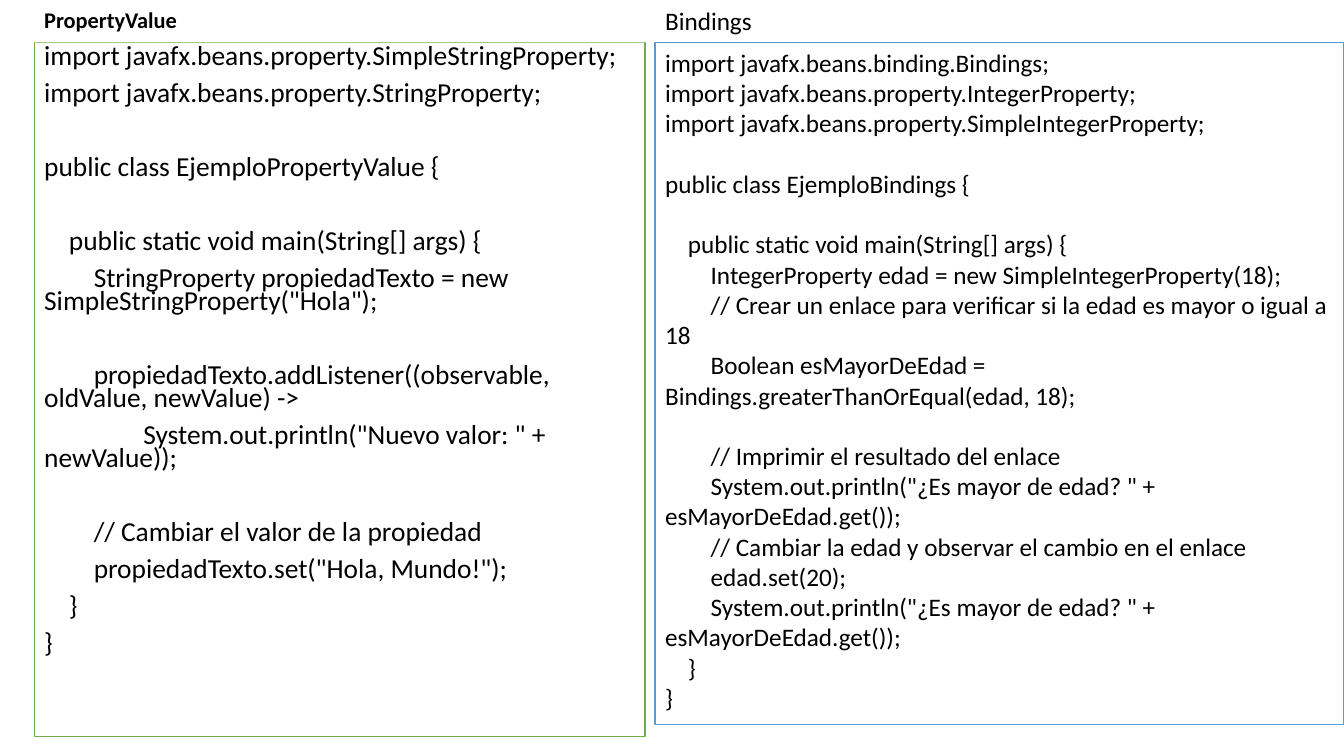
from pptx import Presentation
from pptx.dml.color import RGBColor
from pptx.enum.text import MSO_ANCHOR as Anchor
from pptx.util import Pt

COLORS = {"paper": "FFFFFF", "ink": "000000", "green": "70AD47", "blue": "5B9BD5"}
FONT = "Calibri"
SPACE_WIDTH = 0.226  # share of the font size
INDENT_SPACES = 4

# Blocks of code are set apart by a gap; each line is (indent level, text).
PROPERTY_CODE = [
    [(0, "import javafx.beans.property.SimpleStringProperty;"),
     (0, "import javafx.beans.property.StringProperty;")],
    [(0, "public class EjemploPropertyValue {")],
    [(1, "public static void main(String[] args) {"),
     (2, 'StringProperty propiedadTexto = new SimpleStringProperty("Hola");')],
    [(2, "propiedadTexto.addListener((observable, oldValue, newValue) ->"),
     (4, 'System.out.println("Nuevo valor: " + newValue));')],
    [(2, "// Cambiar el valor de la propiedad"),
     (2, 'propiedadTexto.set("Hola, Mundo!");'),
     (1, "}"),
     (0, "}")],
]
PRINT_AGE = (2, 'System.out.println("¿Es mayor de edad? " + esMayorDeEdad.get());')
BINDINGS_CODE = [
    [(0, "import javafx.beans.binding.Bindings;"),
     (0, "import javafx.beans.property.IntegerProperty;"),
     (0, "import javafx.beans.property.SimpleIntegerProperty;")],
    [(0, "public class EjemploBindings {")],
    [(1, "public static void main(String[] args) {"),
     (2, "IntegerProperty edad = new SimpleIntegerProperty(18);"),
     (2, "// Crear un enlace para verificar si la edad es mayor o igual a 18"),
     (2, "Boolean esMayorDeEdad = Bindings.greaterThanOrEqual(edad, 18);")],
    [(2, "// Imprimir el resultado del enlace"),
     PRINT_AGE,
     (2, "// Cambiar la edad y observar el cambio en el enlace"),
     (2, "edad.set(20);"),
     PRINT_AGE,
     (1, "}"),
     (0, "}")],
]

# box: left, top, width, height; gap: height of one empty line
PANELS = [
    dict(box=(24.5, 30.2, 436.3, 496.1), blocks=PROPERTY_CODE, size=19.6,
         line="green", spacing=0.7, before=10, gap=26.4),
    dict(box=(24.5, 0.7, 436.3, 29.5), blocks=[[(0, "PropertyValue")]], size=16,
         bold=True, spacing=0.9, anchor=Anchor.MIDDLE),
    dict(box=(468, 30.2, 492, 487.4), blocks=BINDINGS_CODE, size=18,
         line="blue", gap=21.6),
    dict(box=(468, 0, 492, 29), blocks=[[(0, "Bindings")]], size=18),
]


def rgb(name):
    return RGBColor.from_string(COLORS[name])


def add_panel(slide, box, blocks, size, line=None, bold=False, spacing=1.0,
              before=0, gap=0, anchor=Anchor.TOP):
    sp = slide.shapes.add_textbox(*map(Pt, box))
    sp.fill.solid()
    sp.fill.fore_color.rgb = rgb("paper")
    if line:
        sp.line.color.rgb = rgb(line)
        sp.line.width = Pt(1)
    tf = sp.text_frame
    tf.word_wrap = True
    tf.vertical_anchor = anchor
    step = Pt(size * SPACE_WIDTH * INDENT_SPACES)
    for b, block in enumerate(blocks):
        for i, (level, text) in enumerate(block):
            p = tf.paragraphs[0] if b == i == 0 else tf.add_paragraph()
            p.line_spacing = spacing
            p.space_before = Pt(before + (gap if b and i == 0 else 0))
            # Only the first line is indented; wrapped lines return to the margin.
            p_pr = p._p.get_or_add_pPr()
            p_pr.set("marL", "0")
            p_pr.set("indent", str(level * step))
            r = p.add_run()
            r.text = text
            r.font.name = FONT
            r.font.size = Pt(size)
            r.font.bold = bold
            r.font.color.rgb = rgb("ink")


def main():
    prs = Presentation()
    prs.slide_width, prs.slide_height = Pt(960), Pt(540)
    s = prs.slides.add_slide(prs.slide_layouts[6])
    for panel in PANELS:
        add_panel(s, **panel)
    prs.save("out.pptx")


if __name__ == "__main__":
    main()
